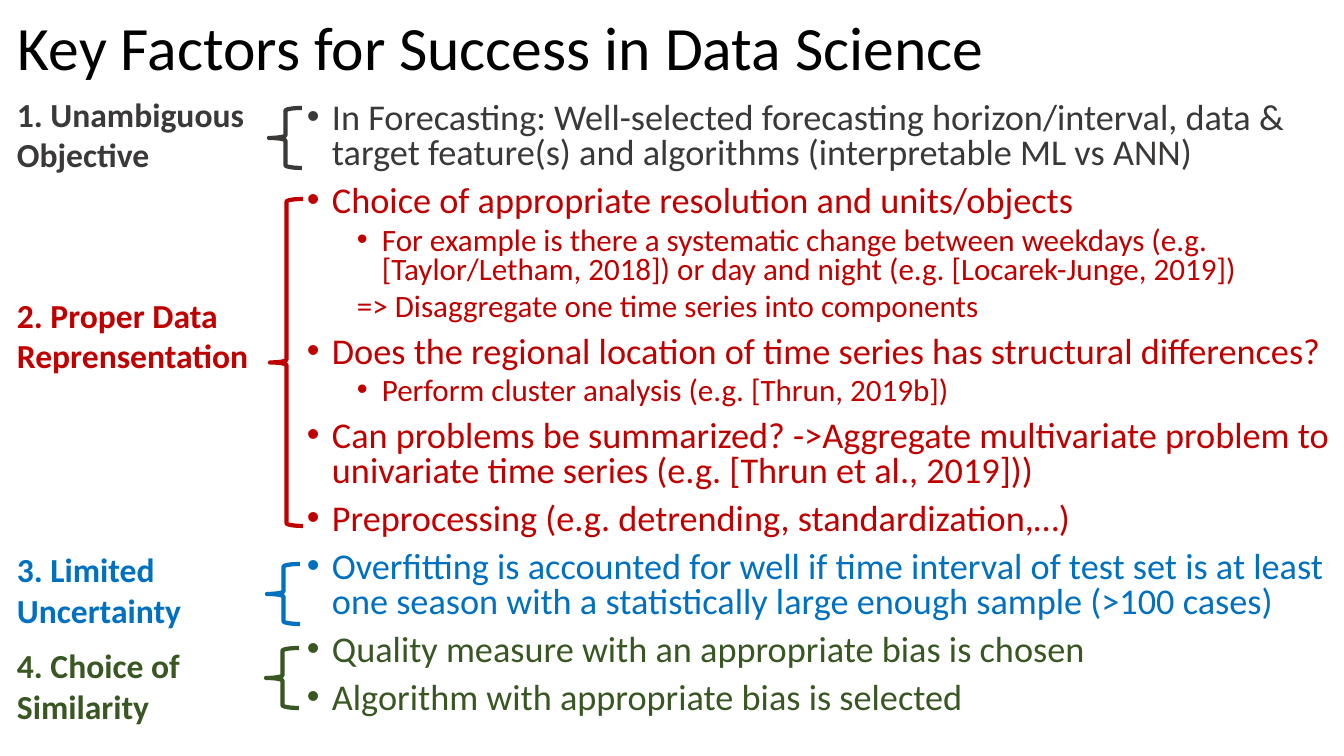
from lxml import etree
from pptx import Presentation
from pptx.dml.color import RGBColor
from pptx.enum.shapes import MSO_SHAPE
from pptx.enum.text import MSO_ANCHOR
from pptx.oxml.ns import qn
from pptx.util import Pt

LEFT_BRACE = MSO_SHAPE.LEFT_BRACE
TOP = MSO_ANCHOR.TOP

BLACK = RGBColor(0x00, 0x00, 0x00)
GRAY = RGBColor(0x3B, 0x38, 0x38)
RED = RGBColor(0xC0, 0x00, 0x00)
BLUE = RGBColor(0x00, 0x70, 0xC0)
GREEN = RGBColor(0x38, 0x57, 0x23)

EMU_PER_INCH = 914400
PX_PER_INCH = 100.8
INDENT = 25

LABELS = [
    ("1. Unambiguous Objective", GRAY, 0),
    ("2. Proper Data Reprensentation", RED, 86),
    ("3. Limited Uncertainty", BLUE, 124),
    ("4. Choice of Similarity", GREEN, 11),
]

FACTORS = [
    (0, True, GRAY, "In Forecasting: Well-selected forecasting horizon/interval, data & "
     "target feature(s) and algorithms (interpretable ML vs ANN)"),
    (0, True, RED, "Choice of appropriate resolution and units/objects"),
    (1, True, RED, "For example is there a systematic change between weekdays (e.g. "
     "[Taylor/Letham, 2018]) or day and night (e.g. [Locarek-Junge, 2019])"),
    (1, False, RED, "=> Disaggregate one time series into components"),
    (0, True, RED, "Does the regional location of time series has structural differences?"),
    (1, True, RED, "Perform cluster analysis (e.g. [Thrun, 2019b])"),
    (0, True, RED, "Can problems be summarized? ->Aggregate multivariate problem to "
     "univariate time series (e.g. [Thrun et al., 2019]))"),
    (0, True, RED, "Preprocessing (e.g. detrending, standardization,…)"),
    (0, True, BLUE, "Overfitting is accounted for well if time interval of test set is at least "
     "one season with a statistically large enough sample (>100 cases)"),
    (0, True, GREEN, "Quality measure with an appropriate bias is chosen"),
    (0, True, GREEN, "Algorithm with appropriate bias is selected"),
]

FACTOR_SIZES = [25.9, 22.2]
FACTOR_GAPS = [9.4, 4.7]

BRACES = [
    (269, 108, 60, GRAY),
    (270, 199, 327, RED),
    (267, 564, 60, BLUE),
    (266, 648, 60, GREEN),
]


def px(length):
    return round(length * EMU_PER_INCH / PX_PER_INCH)


class SlideBuilder:
    font_name = "Calibri"

    def __init__(self, slide):
        self.slide = slide

    def text_box(self, left, top, width, height):
        shape = self.slide.shapes.add_textbox(px(left), px(top), px(width), px(height))
        frame = shape.text_frame
        frame.word_wrap = True
        frame.vertical_anchor = TOP
        return frame

    def paragraph(self, frame, gap=0, line_spacing=1.0):
        first = frame.paragraphs[0]
        paragraph = frame.add_paragraph() if first.runs else first
        paragraph.space_before = Pt(gap if first.runs else 0)
        paragraph.line_spacing = line_spacing
        return paragraph

    def run(self, paragraph, text, size, color, bold=False):
        run = paragraph.add_run()
        run.text = text
        run.font.name = self.font_name
        run.font.size = Pt(size)
        run.font.bold = bold
        run.font.color.rgb = color

    def indent(self, paragraph, level, bulleted):
        paragraph.level = level
        properties = paragraph._p.get_or_add_pPr()
        hanging = INDENT if bulleted else 0
        properties.set("marL", str(px(2 * INDENT * level + hanging)))
        properties.set("indent", str(px(-hanging)))
        if bulleted:
            font = etree.SubElement(properties, qn("a:buFont"))
            font.set("typeface", "Arial")
            etree.SubElement(properties, qn("a:buChar")).set("char", "•")
        else:
            etree.SubElement(properties, qn("a:buNone"))

    def title(self, text):
        frame = self.text_box(8, 12, 1117, 97)
        self.run(self.paragraph(frame, line_spacing=0.9), text, 44, BLACK)

    def factors(self, items):
        frame = self.text_box(297, 98, 1062, 658)
        for level, bulleted, color, text in items:
            paragraph = self.paragraph(frame, FACTOR_GAPS[level], 0.8)
            self.indent(paragraph, level, bulleted)
            self.run(paragraph, text, FACTOR_SIZES[level], color)

    def labels(self, items):
        frame = self.text_box(7, 89, 261, 650)
        for text, color, gap in items:
            self.run(self.paragraph(frame, gap), text, 24, color, bold=True)

    def brace(self, left, top, height, color):
        shape = self.slide.shapes.add_shape(LEFT_BRACE, px(left), px(top), px(33), px(height))
        shape.shadow.inherit = False
        shape.fill.background()
        shape.line.color.rgb = color
        shape.line.width = Pt(3)


def main():
    presentation = Presentation()
    presentation.slide_width = px(1344)
    presentation.slide_height = px(756)
    builder = SlideBuilder(presentation.slides.add_slide(presentation.slide_layouts[6]))
    builder.title("Key Factors for Success in Data Science")
    builder.factors(FACTORS)
    builder.labels(LABELS)
    for brace in BRACES:
        builder.brace(*brace)
    presentation.save("out.pptx")


if __name__ == "__main__":
    main()
